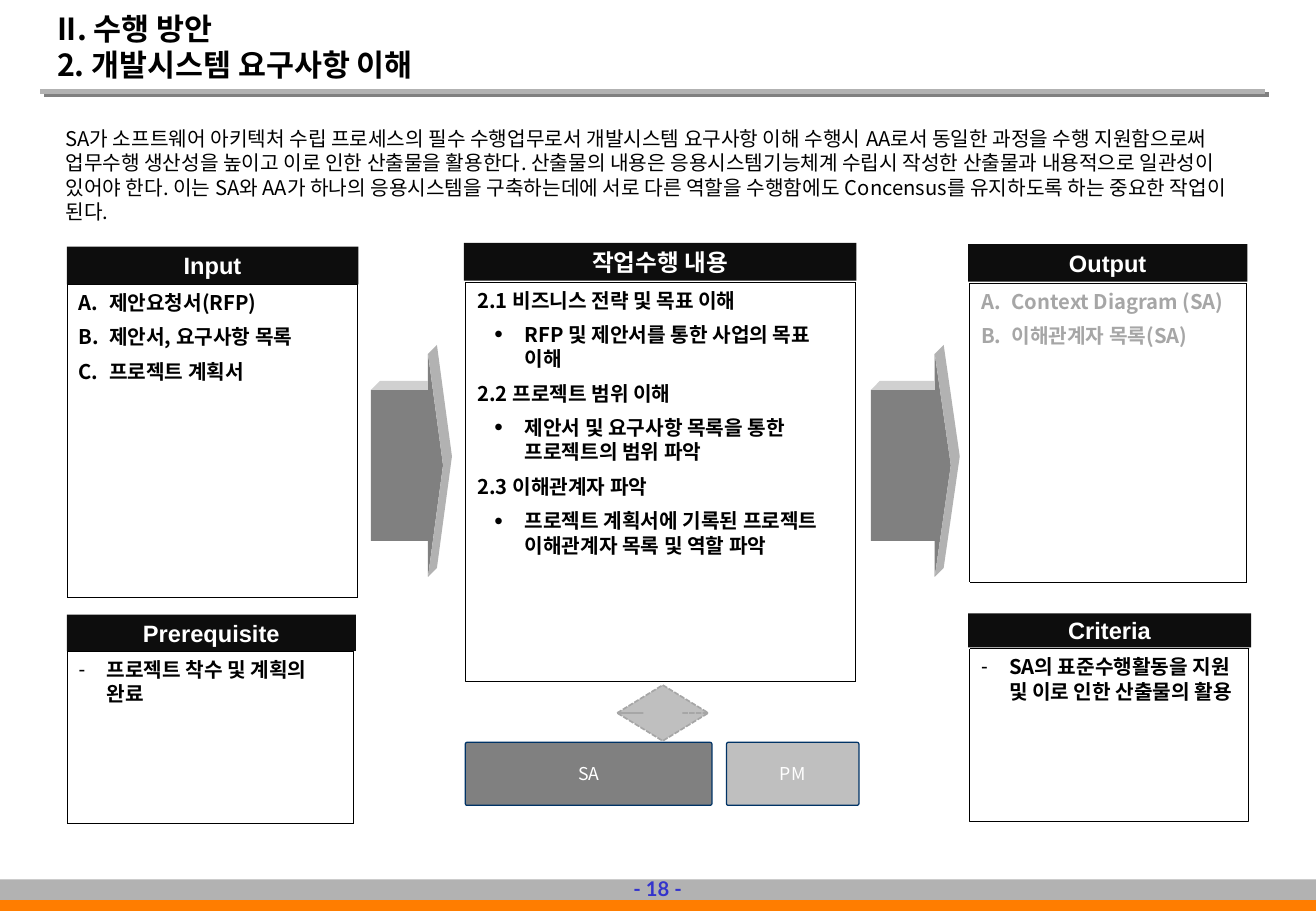
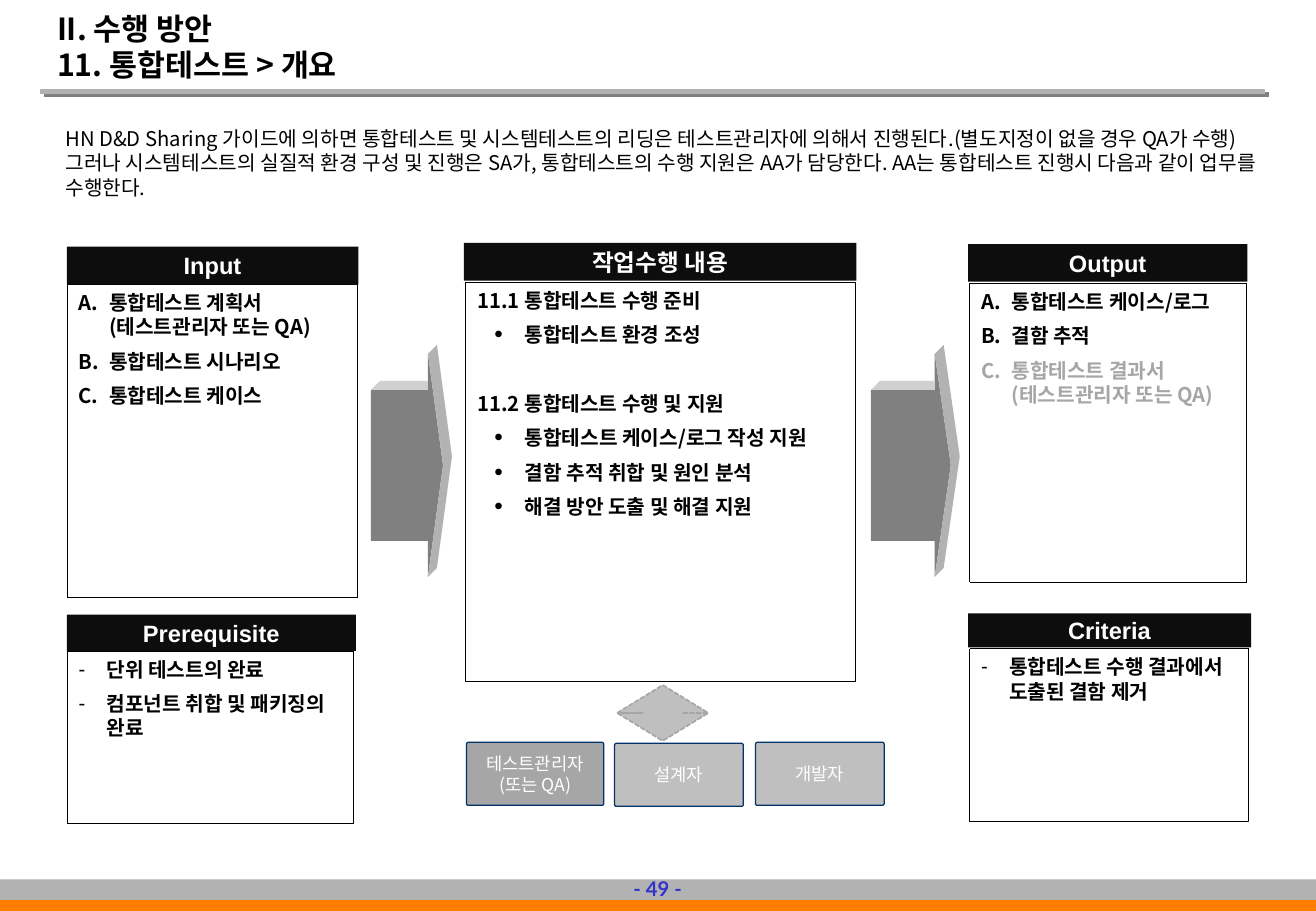
import pptx
import pptx.util
import pptx.dml.color
import pptx.enum.dml
import pptx.enum.shapes
import pptx.enum.text
import lxml.etree
import pptx.oxml.ns

Pt = pptx.util.Pt
RGBColor = pptx.dml.color.RGBColor
SHAPE = pptx.enum.shapes.MSO_SHAPE
DASH = pptx.enum.dml.MSO_LINE
ALIGN = pptx.enum.text.PP_ALIGN
ANCHOR = pptx.enum.text.MSO_ANCHOR
qn = pptx.oxml.ns.qn

BLACK = RGBColor(0x00, 0x00, 0x00)
WHITE = RGBColor(0xFF, 0xFF, 0xFF)
HEADER_BLACK = RGBColor(0x0D, 0x0D, 0x0D)
DARK_GRAY = RGBColor(0x80, 0x80, 0x80)
MUTED_GRAY = RGBColor(0xA6, 0xA6, 0xA6)
BAND_GRAY = RGBColor(0xB2, 0xB2, 0xB2)
SILVER = RGBColor(0xBF, 0xBF, 0xBF)
LIGHT_GRAY = RGBColor(0xD0, 0xD0, 0xD0)
ORANGE = RGBColor(0xFF, 0x7D, 0x00)
NAVY = RGBColor(0x00, 0x33, 0x66)
PAGE_BLUE = RGBColor(0x33, 0x33, 0xCC)

KOREAN = "Noto Sans CJK KR"

TITLE = {"name": KOREAN, "size": Pt(18), "bold": True, "color": BLACK}
INTRO = {"name": KOREAN, "size": Pt(12), "bold": False, "color": BLACK}
LIST = {"name": KOREAN, "size": Pt(12), "bold": True, "color": BLACK}
MUTED = LIST | {"color": MUTED_GRAY}
HEADER = {"name": "Arial", "size": Pt(14), "bold": True, "color": WHITE}
KOREAN_HEADER = HEADER | {"name": KOREAN}
ROLE = {"name": KOREAN, "size": Pt(10.5), "bold": False, "color": WHITE}
PAGE = {"name": "Lato", "size": Pt(12), "bold": True, "color": PAGE_BLUE}

TOP = {"word_wrap": True, "vertical_anchor": ANCHOR.TOP}
BOTTOM = {"word_wrap": True, "vertical_anchor": ANCHOR.BOTTOM}
MIDDLE = {"word_wrap": True, "vertical_anchor": ANCHOR.MIDDLE}
TIGHT = MIDDLE | {"margin_left": 0, "margin_right": 0, "margin_top": 0, "margin_bottom": 0}

BULLETS = {
    "plain": (0, 0, [("buNone", {})]),
    "heading": (18, -18, [("buNone", {})]),
    "point": (28, -18, [("buSzPct", {"val": "120000"}), ("buFont", {"typeface": "Arial"}), ("buChar", {"char": "•"})]),
    "letter": (18, -18, [("buFont", {"typeface": KOREAN}), ("buAutoNum", {"type": "alphaUcPeriod"})]),
    "dash": (16.5, -16.5, [("buFont", {"typeface": "Arial"}), ("buChar", {"char": "-"})]),
}


def style_shape(shape, fill=None, line=None, width=0.25, dash=None):
    shape.shadow.inherit = False
    if fill is None:
        shape.fill.background()
    else:
        shape.fill.solid()
        shape.fill.fore_color.rgb = fill
    if line is None:
        shape.line.fill.background()
    else:
        shape.line.color.rgb = line
        shape.line.width = Pt(width)
        if dash is not None:
            shape.line.dash_style = dash


def write_text(shape, items, style, frame_format, align=ALIGN.LEFT, gap=0):
    frame = shape.text_frame
    frame.auto_size = pptx.enum.text.MSO_AUTO_SIZE.NONE
    for name, value in frame_format.items():
        setattr(frame, name, value)
    for index, (kind, text, *options) in enumerate(items):
        paragraph = frame.paragraphs[0] if index == 0 else frame.add_paragraph()
        text_style = options[0] if options else style
        before = options[1] if len(options) > 1 else gap
        paragraph.text = text
        margin, indent, bullet = BULLETS[kind]
        properties = paragraph._p.get_or_add_pPr()
        properties.set("marL", str(Pt(margin)))
        properties.set("indent", str(Pt(indent)))
        for tag, attributes in bullet:
            lxml.etree.SubElement(properties, qn("a:" + tag), attributes)
        paragraph.alignment = align
        paragraph.line_spacing = Pt(text_style["size"].pt * 1.2)
        paragraph.space_before = Pt(before if index else 0)
        for run in paragraph.runs:
            for name, value in text_style.items():
                if name == "color":
                    run.font.color.rgb = value
                else:
                    setattr(run.font, name, value)
            lxml.etree.SubElement(run._r.get_or_add_rPr(), qn("a:ea"), {"typeface": text_style["name"]})


HEADERS = [
    ("작업수행 내용", (275, 144, 232.6, 22.3), KOREAN_HEADER),
    ("Input", (39.6, 146.2, 172.8, 22.3), HEADER),
    ("Output", (573.8, 144.7, 165.6, 22.3), HEADER),
    ("Prerequisite", (39.6, 364.3, 171.4, 21.6), HEADER),
    ("Criteria", (573.8, 363.6, 167.8, 20.2), HEADER),
]
PANELS = {
    "input": ("letter", (39.6, 168.5, 172, 185.8)),
    "output": ("letter", (574.5, 167.8, 164.2, 177.1)),
    "prerequisite": ("dash", (39.6, 385.9, 169.9, 102.2)),
    "criteria": ("dash", (574.5, 384.5, 165.6, 102.2)),
}
WORK_BOX = (275.8, 167, 231.1, 236.9)
ARROWS = [(219.9, 33.8, 42.7), (516.2, 37.9, 47.4)]
DEPTH = 5.3
BODY_TOP, BODY_BOTTOM = 231.1, 320.6
HEAD_TOP, HEAD_TIP, HEAD_BOTTOM = 209.8, 275.8, 341.9

PAGES = [
    {
        "number": "- 18 -",
        "title": "II. 수행 방안\v2. 개발시스템 요구사항 이해",
        "intro": "SA가 소프트웨어 아키텍처 수립 프로세스의 필수 수행업무로서 개발시스템 요구사항 이해 수행시 AA로서 동일한 과정을 수행 지원함으로써 업무수행 생산성을 높이고 이로 인한 산출물을 활용한다. 산출물의 내용은 응용시스템기능체계 수립시 작성한 산출물과 내용적으로 일관성이 있어야 한다. 이는 SA와 AA가 하나의 응용시스템을 구축하는데에 서로 다른 역할을 수행함에도 Concensus를 유지하도록 하는 중요한 작업이 된다.",
        "work": [
            ("heading", "2.1 비즈니스 전략 및 목표 이해"),
            ("point", "RFP 및 제안서를 통한 사업의 목표 이해"),
            ("heading", "2.2 프로젝트 범위 이해"),
            ("point", "제안서 및 요구사항 목록을 통한 프로젝트의 범위 파악"),
            ("heading", "2.3 이해관계자 파악"),
            ("point", "프로젝트 계획서에 기록된 프로젝트 이해관계자 목록 및 역할 파악"),
        ],
        "input": [("제안요청서(RFP)",), ("제안서, 요구사항 목록",), ("프로젝트 계획서",)],
        "output": [("Context Diagram (SA)", MUTED), ("이해관계자 목록(SA)", MUTED)],
        "prerequisite": [("프로젝트 착수 및 계획의 완료",)],
        "criteria": [("SA의 표준수행활동을 지원 및 이로 인한 산출물의 활용",)],
        "roles": [
            (["SA"], (275.8, 440, 146.2, 37.4), DARK_GRAY),
            (["PM"], (430.6, 440, 78.5, 37.4), SILVER),
        ],
    },
    {
        "number": "- 49 -",
        "title": "II. 수행 방안\v11. 통합테스트 > 개요",
        "intro": "HN D&D Sharing 가이드에 의하면 통합테스트 및 시스템테스트의 리딩은 테스트관리자에 의해서 진행된다.(별도지정이 없을 경우 QA가 수행) 그러나 시스템테스트의 실질적 환경 구성 및 진행은 SA가, 통합테스트의 수행 지원은 AA가 담당한다. AA는 통합테스트 진행시 다음과 같이 업무를 수행한다.",
        "work": [
            ("heading", "11.1 통합테스트 수행 준비"),
            ("point", "통합테스트 환경 조성"),
            ("heading", "11.2 통합테스트 수행 및 지원", LIST, 26.4),
            ("point", "통합테스트 케이스/로그 작성 지원"),
            ("point", "결함 추적 취합 및 원인 분석"),
            ("point", "해결 방안 도출 및 해결 지원"),
        ],
        "input": [("통합테스트 계획서 (테스트관리자 또는 QA)",), ("통합테스트 시나리오",), ("통합테스트 케이스",)],
        "output": [("통합테스트 케이스/로그",), ("결함 추적",), ("통합테스트 결과서 (테스트관리자 또는 QA)", MUTED)],
        "prerequisite": [("단위 테스트의 완료",), ("컴포넌트 취합 및 패키징의 완료",)],
        "criteria": [("통합테스트 수행 결과에서 도출된 결함 제거",)],
        "roles": [
            (["테스트관리자", "(또는 QA)"], (276.5, 440, 81.4, 37.4), MUTED_GRAY),
            (["설계자"], (364.3, 440.6, 76.3, 37.4), SILVER),
            (["개발자"], (447.8, 440, 76.3, 37.4), SILVER),
        ],
    },
]

presentation = pptx.Presentation()
presentation.slide_width = Pt(780)
presentation.slide_height = Pt(540)

for page in PAGES:
    slide = presentation.slides.add_slide(presentation.slide_layouts[1])
    shapes = slide.shapes
    title, work = slide.placeholders
    for placeholder, box in ((title, (26.6, 2, 580.3, 50.6)), (work, WORK_BOX)):
        placeholder.left, placeholder.top, placeholder.width, placeholder.height = map(Pt, box)
    write_text(title, [("plain", page["title"])], TITLE, BOTTOM)
    style_shape(work, line=BLACK, dash=DASH.ROUND_DOT)
    write_text(work, page["work"], LIST, TOP, gap=6)

    for offset, color in ((2, DARK_GRAY), (0, BAND_GRAY)):
        ends = (24 + offset, 54 + offset, 750 + offset, 54 + offset)
        rule = shapes.add_connector(pptx.enum.shapes.MSO_CONNECTOR.STRAIGHT, *map(Pt, ends))
        rule.line.color.rgb = color
        rule.line.width = Pt(3)
        lxml.etree.SubElement(rule._element.spPr, qn("a:effectLst"))

    for top, height, color in ((528.5, 11.5, ORANGE), (521.3, 12.2, BAND_GRAY)):
        band = shapes.add_shape(SHAPE.RECTANGLE, 0, Pt(top), Pt(780), Pt(height))
        style_shape(band, color)

    number = shapes.add_textbox(Pt(368.6), Pt(515.5), Pt(42.5), Pt(22.3))
    write_text(number, [("plain", page["number"])], PAGE, TIGHT | {"word_wrap": False}, ALIGN.CENTER)

    intro = shapes.add_textbox(Pt(31.7), Pt(71.3), Pt(723.6), Pt(66))
    write_text(intro, [("plain", page["intro"])], INTRO, TOP)

    for key, (kind, box) in PANELS.items():
        panel = shapes.add_shape(SHAPE.RECTANGLE, *map(Pt, box))
        style_shape(panel, line=BLACK, dash=DASH.ROUND_DOT)
        write_text(panel, [(kind, *item) for item in page[key]], LIST, TOP, gap=6)

    for left, shaft, length in ARROWS:
        neck, tip = left + shaft, left + length
        faces = [
            (DARK_GRAY, [(left, BODY_TOP), (neck, BODY_TOP), (neck, HEAD_TOP), (tip, HEAD_TIP),
                         (neck, HEAD_BOTTOM), (neck, BODY_BOTTOM), (left, BODY_BOTTOM)]),
            (LIGHT_GRAY, [(left, BODY_TOP), (left + DEPTH, BODY_TOP - DEPTH),
                          (neck, BODY_TOP - DEPTH), (neck, BODY_TOP)]),
            (BAND_GRAY, [(neck, HEAD_TOP), (neck + DEPTH, HEAD_TOP - DEPTH), (tip + DEPTH, HEAD_TIP - DEPTH),
                         (neck + DEPTH, HEAD_BOTTOM - DEPTH), (neck, HEAD_BOTTOM), (tip, HEAD_TIP)]),
        ]
        for color, points in faces:
            corners = [(Pt(x), Pt(y)) for x, y in points]
            builder = shapes.build_freeform(*corners[0])
            builder.add_line_segments(corners[1:], close=True)
            style_shape(builder.convert_to_shape(), color)

    exchange = shapes.add_shape(SHAPE.UP_DOWN_ARROW, Pt(365.8), Pt(406.1), Pt(54), Pt(33.1))
    exchange.adjustments[0], exchange.adjustments[1] = 0.61, 0.42
    style_shape(exchange, SILVER, MUTED_GRAY, 1, DASH.SQUARE_DOT)

    for lines, box, color in page["roles"]:
        role = shapes.add_shape(SHAPE.ROUNDED_RECTANGLE, *map(Pt, box))
        role.adjustments[0] = 0.03
        style_shape(role, color, NAVY, 0.75)
        write_text(role, [("plain", line) for line in lines], ROLE, MIDDLE, ALIGN.CENTER)

    for text, box, style in HEADERS:
        header = shapes.add_shape(SHAPE.RECTANGLE, *map(Pt, box))
        style_shape(header, HEADER_BLACK)
        write_text(header, [("plain", text)], style, TIGHT, ALIGN.CENTER)

presentation.save("out.pptx")
